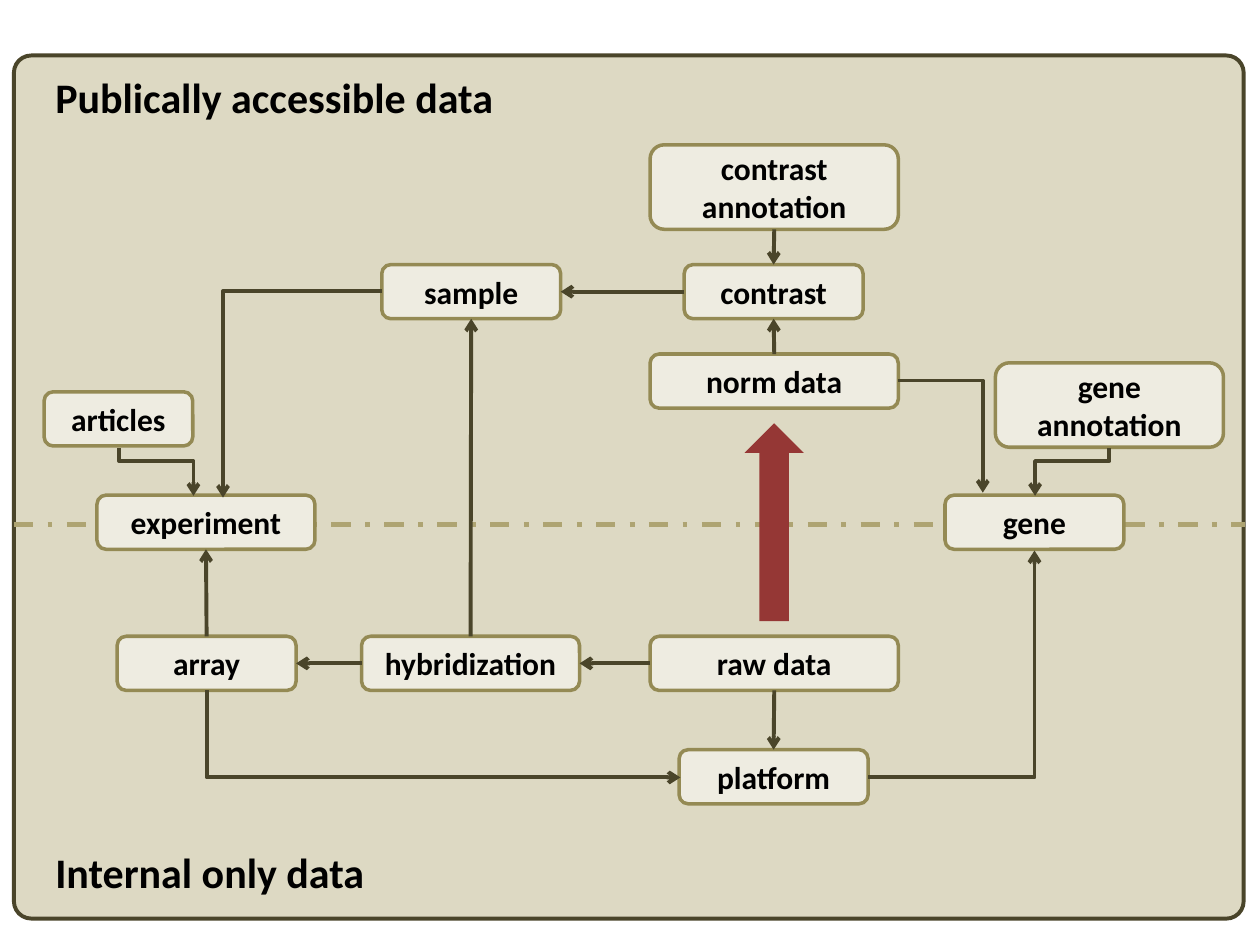
from lxml.etree import SubElement
from pptx import Presentation
from pptx.dml.color import RGBColor
from pptx.enum.dml import MSO_LINE as Dash
from pptx.enum.shapes import MSO_CONNECTOR as Conn, MSO_SHAPE as Form
from pptx.enum.text import MSO_ANCHOR as Anchor, MSO_AUTO_SIZE as Fit, PP_ALIGN as Align
from pptx.oxml.ns import qn
from pptx.util import Emu, Pt

SCALE = 9144  # EMU in one px, at 100 px to the inch
TOP, LEFT, BOTTOM, RIGHT = range(4)  # connection sites of a box
DARK, EDGE, CREAM, SAND = "4A452A", "948A54", "EEECE1", "DDD9C3"
RED, KHAKI, BLACK = "953735", "AEA472", "000000"

BOXES = {  # name: left, top, width, height
    "array": (93, 505, 142, 43),
    "hybridization": (287, 505, 173, 43),
    "raw data": (516, 505, 197, 43),
    "sample": (303, 210, 142, 43),
    "contrast": (543, 210, 142, 43),
    "contrast\nannotation": (516, 115, 197, 67),
    "norm data": (516, 281, 197, 43),
    "experiment": (77, 393, 173, 43),
    "gene": (750, 393, 142, 43),
    "platform": (539, 595, 150, 43),
    "articles": (35, 311, 118, 43),
    "gene annotation": (790, 288, 181, 67),
}
LINKS = [
    ("contrast\nannotation", BOTTOM, "contrast", TOP),
    ("norm data", TOP, "contrast", BOTTOM),
    ("contrast", LEFT, "sample", RIGHT),
    ("hybridization", TOP, "sample", BOTTOM),
    ("raw data", LEFT, "hybridization", RIGHT),
    ("hybridization", LEFT, "array", RIGHT),
    ("array", TOP, "experiment", BOTTOM),
    ("raw data", BOTTOM, "platform", TOP),
]
ELBOWS = [  # frame before turning, turn, flips, arrow end, share of the first leg
    ((158, 250, 164, 126), 90, "HV", "headEnd", None),   # sample to experiment
    ((164, 548, 376, 69), 180, "", "headEnd", None),     # array to platform
    ((689, 437, 132, 180), 0, "V", "tailEnd", None),     # platform to gene
    ((702, 313, 89, 67), 270, "V", "headEnd", None),     # norm data to gene
    ((832, 345, 38, 59), 90, "", "tailEnd", 27.6),       # gene annotation to gene
    ((105, 345, 38, 59), 270, "H", "tailEnd", 27.6),     # articles to experiment
]


def px(*nums):
    return [Emu(n * SCALE) for n in nums]


def rgb(code):
    return RGBColor.from_string(code)


def style(item, vals):
    for key, val in vals.items():
        setattr(item, key, val)


def write(frame, text, size, align, vals):
    style(frame, vals)
    frame.text = text
    for para in frame.paragraphs:
        para.alignment = align
        style(para.font, {"size": Pt(size), "name": "Calibri", "bold": True})
        para.font.color.rgb = rgb(BLACK)


def stroke(line, color, width):
    line.color.rgb = rgb(color)
    line.width = Pt(width)


def shape(slide, form, frame, fill, edge=None, width=0):
    new = slide.shapes.add_shape(form, *px(*frame))
    new.shadow.inherit = False
    new.fill.solid()
    new.fill.fore_color.rgb = rgb(fill)
    if edge:
        stroke(new.line, edge, width)
    else:
        new.line.fill.background()
    return new


def box(slide, text, frame):
    new = shape(slide, Form.ROUNDED_RECTANGLE, frame, CREAM, EDGE, 2)
    write(new.text_frame, text, 18, Align.CENTER,
          {"word_wrap": True, "vertical_anchor": Anchor.MIDDLE})
    return new


def label(slide, text, frame):
    new = slide.shapes.add_textbox(*px(*frame))
    write(new.text_frame, text, 24, Align.LEFT,
          {"word_wrap": False, "auto_size": Fit.SHAPE_TO_FIT_TEXT})


def wire(slide, kind, frame, color=DARK, width=2.25, arrow=None):
    """Add a connector across the frame, with an open arrowhead at one end."""
    x, y, w, h = frame
    new = slide.shapes.add_connector(kind, *px(x, y, x + w, y + h))
    stroke(new.line, color, width)
    if arrow:
        SubElement(new.line._get_or_add_ln(), qn("a:" + arrow), type="arrow")
    SubElement(new._element.spPr, qn("a:effectLst"))
    return new


def link(slide, start, out, end, into):
    new = wire(slide, Conn.STRAIGHT, (0, 0, 0, 0), arrow="tailEnd")
    new.begin_connect(start, out)
    new.end_connect(end, into)


def elbow(slide, frame, turn, flips, arrow, share):
    """Add a bent connector: one corner, or two when a share is given."""
    props = wire(slide, Conn.ELBOW, frame, arrow=arrow)._element.spPr
    place = props.find(qn("a:xfrm"))
    place.set("rot", str(turn * 60000))
    for flip in flips:
        place.set("flip" + flip, "1")
    geom = props.find(qn("a:prstGeom"))
    if share is None:
        geom.set("prst", "bentConnector2")
    else:
        SubElement(geom.find(qn("a:avLst")), qn("a:gd"), name="adj1",
                   fmla=f"val {round(share * 1000)}")


def main():
    deck = Presentation()
    deck.slide_width, deck.slide_height = px(1000, 750)
    slide = deck.slides.add_slide(deck.slide_layouts[6])

    panel = shape(slide, Form.ROUND_2_SAME_RECTANGLE, (11, 44, 976, 685), SAND, DARK, 2.25)
    panel.rotation = 180
    panel.adjustments[0] = panel.adjustments[1] = 0.02
    border = wire(slide, Conn.STRAIGHT, (11, 416, 977, 0), KHAKI, 2.75)
    border.line.dash_style = Dash.DASH_DOT

    boxes = {name: box(slide, name, frame) for name, frame in BOXES.items()}
    for start, out, end, into in LINKS:
        link(slide, boxes[start], out, boxes[end], into)
    for bend in ELBOWS:
        elbow(slide, *bend)

    shape(slide, Form.UP_ARROW, (591, 336, 47, 157), RED)
    label(slide, "Publically accessible data", (34, 52, 371, 50))
    label(slide, "Internal only data", (34, 667, 268, 50))
    deck.save("out.pptx")


if __name__ == "__main__":
    main()
